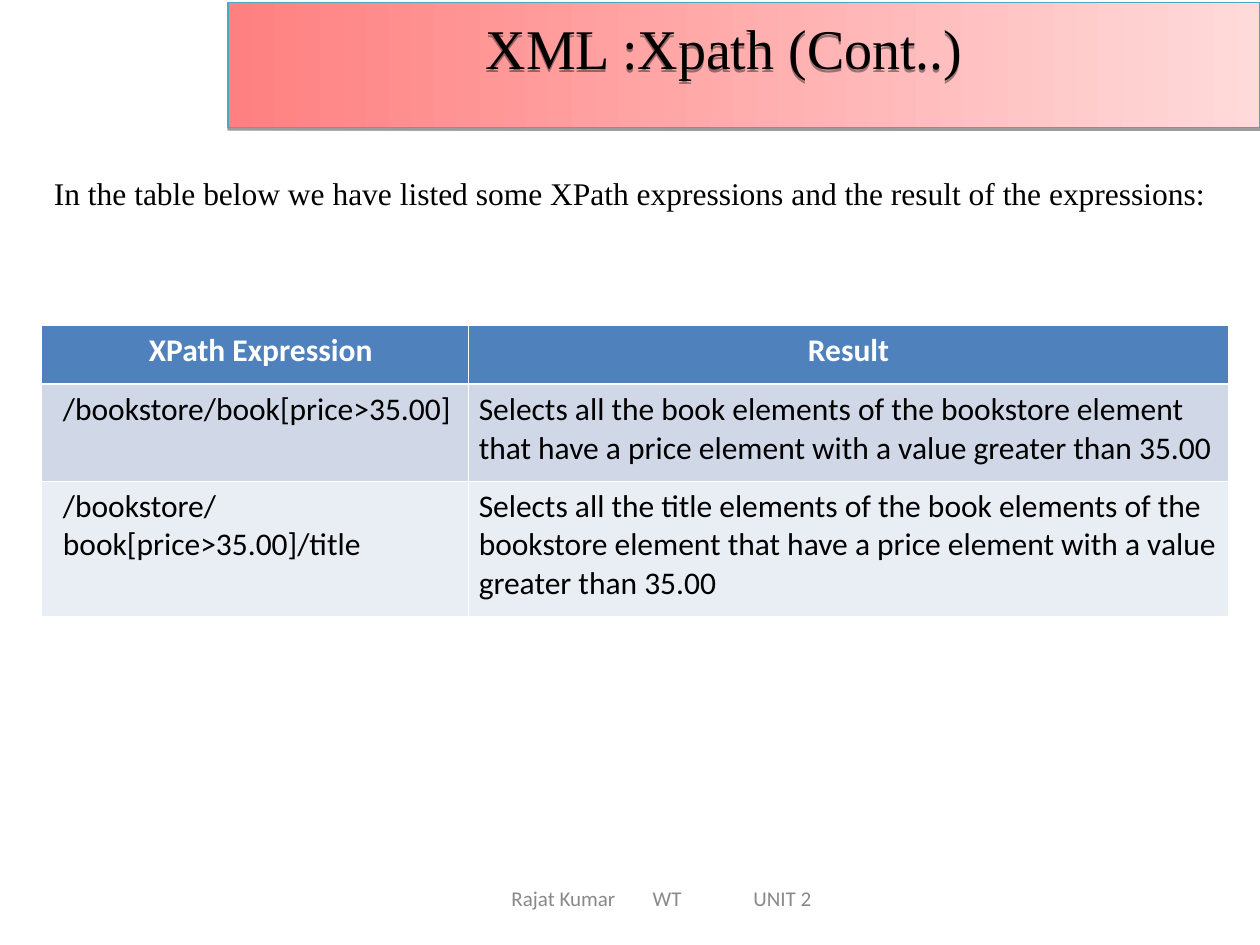
from lxml.etree import SubElement
from pptx import Presentation
from pptx.dml.color import RGBColor
from pptx.enum.shapes import MSO_SHAPE
from pptx.enum.text import MSO_ANCHOR, PP_ALIGN
from pptx.oxml.ns import qn
from pptx.util import Inches, Pt

BLACK = RGBColor(0x00, 0x00, 0x00)
WHITE = RGBColor(0xFF, 0xFF, 0xFF)
GRAY = RGBColor(0x89, 0x89, 0x89)
CORAL = RGBColor(0xFF, 0x80, 0x80)
PINK = RGBColor(0xFF, 0xDA, 0xDA)
TEAL = RGBColor(0x46, 0xAA, 0xC5)
BLUE = RGBColor(0x4F, 0x81, 0xBD)
BAND_FILLS = (RGBColor(0xD0, 0xD8, 0xE8), RGBColor(0xE9, 0xED, 0xF4))

SERIF = "Times New Roman"
SANS = "Calibri"
THIN, THICK = 0.45, 1.47

ROWS = (
    ("XPath Expression", "Result"),
    ("/bookstore/book[price>35.00]",
     "Selects all the book elements of the bookstore element that have "
     "a price element with a value greater than 35.00"),
    ("/bookstore/book[price>35.00]/title",
     "Selects all the title elements of the book elements of the bookstore "
     "element that have a price element with a value greater than 35.00"),
)


class SlideBuilder:
    def __init__(self, prs):
        self.slide = prs.slides.add_slide(prs.slide_layouts[5])
        self.shapes = self.slide.shapes

    def set_text(self, tf, text, align=PP_ALIGN.LEFT, tabs=(), **font):
        tf.word_wrap = True
        p = tf.paragraphs[0]
        p.alignment = align
        if tabs:
            tab_list = SubElement(p._p.get_or_add_pPr(), qn("a:tabLst"))
            for pos in tabs:
                SubElement(tab_list, qn("a:tab"), pos=str(Inches(pos)), algn="l")
        r = p.add_run()
        r.text = text
        r.font.color.rgb = font.pop("color", BLACK)
        for name, value in font.items():
            setattr(r.font, name, value)

    def drop_shadow(self, sp):
        sp.shadow.inherit = False
        effects = sp._element.spPr.find(qn("a:effectLst"))
        shadow = SubElement(effects, qn("a:outerShdw"), dist=str(Pt(1.6)),
                            dir="5400000", rotWithShape="0")
        color = SubElement(shadow, qn("a:srgbClr"), val=str(BLACK))
        SubElement(color, qn("a:alpha"), val="38000")

    def banner(self, *box):
        sp = self.shapes.add_shape(MSO_SHAPE.RECTANGLE, *map(Inches, box))
        sp.fill.gradient()
        sp.fill.gradient_angle = 0
        for stop, color in zip(sp.fill.gradient_stops, (CORAL, PINK)):
            stop.color.rgb = color
        sp.line.color.rgb = TEAL
        sp.line.width = Pt(0.75)
        self.drop_shadow(sp)
        # The title placeholder must stay in front of the banner.
        self.shapes.title._element.addprevious(sp._element)

    def title(self, text, *box):
        sp = self.shapes.title
        sp.left, sp.top, sp.width, sp.height = map(Inches, box)
        sp.fill.background()
        self.drop_shadow(sp)
        sp.text_frame.vertical_anchor = MSO_ANCHOR.MIDDLE
        self.set_text(sp.text_frame, text, PP_ALIGN.CENTER,
                      name=SERIF, size=Pt(32))

    def text(self, text, *box, anchor=MSO_ANCHOR.TOP, inset=0.1, **style):
        tf = self.shapes.add_textbox(*map(Inches, box)).text_frame
        tf.margin_left = Inches(inset)
        tf.vertical_anchor = anchor
        self.set_text(tf, text, **style)

    def borders(self, cell, **widths):
        tc_pr = cell._tc.get_or_add_tcPr()
        for side in "LRTB":
            width = Pt(widths.get(side, THIN))
            ln = SubElement(tc_pr, qn(f"a:ln{side}"), w=str(width))
            fill = SubElement(ln, qn("a:solidFill"))
            SubElement(fill, qn("a:srgbClr"), val=str(WHITE))

    def table(self, rows, left, top, widths, heights):
        box = (left, top, sum(widths), sum(heights))
        table = self.shapes.add_table(len(rows), len(widths),
                                      *map(Inches, box)).table
        for column, width in zip(table.columns, widths):
            column.width = Inches(width)
        for i, (row, height) in enumerate(zip(rows, heights)):
            table.rows[i].height = Inches(height)
            header = i == 0
            for j, text in enumerate(row):
                cell = table.cell(i, j)
                cell.margin_left = Inches(0.08 if j else 0.17)
                cell.margin_right = Inches(0.08)
                self.borders(cell, T=THICK if i == 1 else THIN,
                             B=THICK if header else THIN)
                cell.fill.solid()
                cell.fill.fore_color.rgb = BLUE if header else BAND_FILLS[i - 1]
                self.set_text(cell.text_frame, text,
                              PP_ALIGN.CENTER if header else PP_ALIGN.LEFT,
                              name=SANS, size=Pt(18), bold=header,
                              color=WHITE if header else BLACK)


def main():
    prs = Presentation()
    prs.slide_width, prs.slide_height = Inches(10), Inches(7.5)
    s = SlideBuilder(prs)
    s.banner(1.81, 0.02, 8.19, 0.99)
    s.title("XML :Xpath (Cont..)", 1.5, 0, 8.5, 0.75)
    s.text("Rajat Kumar\tWT\tUNIT 2", 2.5, 6.93, 5.5, 0.4,
           anchor=MSO_ANCHOR.MIDDLE, inset=1.56, tabs=(1.12, 1.92),
           name=SANS, size=Pt(12), color=GRAY)
    s.text("In the table below we have listed some XPath expressions "
           "and the result of the expressions:", 0.33, 1.33, 9.5, 0.4,
           name=SERIF, size=Pt(18))
    s.table(ROWS, 0.33, 2.58, widths=(3.39, 6.03), heights=(0.47, 0.77, 1.07))
    prs.save("out.pptx")


if __name__ == "__main__":
    main()
